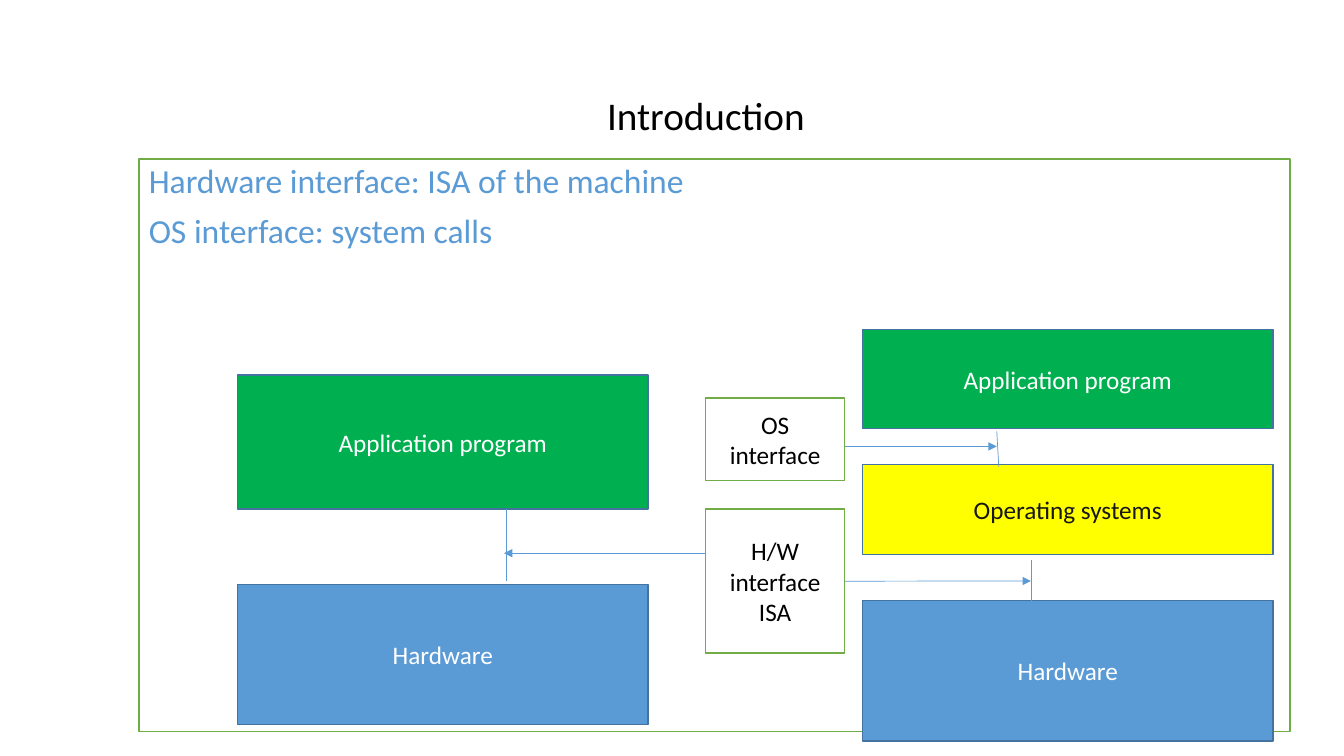
from dataclasses import dataclass
from typing import Optional

from lxml import etree
from pptx import Presentation
from pptx import util as u
from pptx.dml.color import RGBColor
from pptx.enum import shapes, text
from pptx.oxml.ns import qn

FONT = "Calibri"
HUES = {
    "white": "FFFFFF", "black": "000000", "ink": "181717",
    "blue": "5B9BD5", "navy": "43739E", "green": "00B050",
    "lime": "70AD47", "yellow": "FFFF00",
}
LEFT, MID, RIGHT = 5.99, 17.78, 21.74
WIDE, SLIM = 10.34, 3.51


@dataclass
class Box:
    words: str
    x: float
    y: float
    w: float
    h: float
    fill: str = "white"
    edge: str = "navy"
    ink: str = "white"


@dataclass
class Link:
    x1: float
    y1: float
    x2: float
    y2: float
    arrow: bool = False
    start: Optional[str] = None


PANEL = Box("Hardware interface: ISA of the machine\nOS interface: system calls",
            3.5, 4.01, 29.01, 14.43, "white", "lime", "blue")
BOXES = {
    "right hardware": Box("Hardware", RIGHT, 15.14, WIDE, 3.53, "blue"),
    "system": Box("Operating systems", RIGHT, 11.71, WIDE, 2.26, "yellow", ink="ink"),
    "right program": Box("Application program", RIGHT, 8.31, WIDE, 2.49, "green"),
    "left hardware": Box("Hardware", LEFT, 14.73, WIDE, 3.53, "blue"),
    "left program": Box("Application program", LEFT, 9.45, WIDE, 3.38, "green"),
    "OS face": Box("OS interface", MID, 10.03, SLIM, 2.08, "white", "lime", "black"),
    "ISA face": Box("H/W interface\nISA", MID, 12.83, SLIM, 3.63, "white", "lime", "black"),
}
LINKS = [
    Link(21.3, 11.25, 25.12, 11.25, True),
    Link(25.12, 10.87, 25.17, 11.76),
    Link(21.29, 14.64, 25.98, 14.64, True, "ISA face"),
    Link(25.98, 14.1, 25.98, 15.14),
    Link(17.78, 13.94, 12.7, 13.94, True),
    Link(12.75, 12.83, 12.75, 14.63),
]


def tint(name: str) -> RGBColor:
    return RGBColor.from_string(HUES[name])


def write(shape, words: str, size: float, ink: str, align, anchor,
          lead: float = 1.0, gap: float = 0) -> None:
    frame = shape.text_frame
    frame.word_wrap = True
    frame.vertical_anchor = anchor
    frame.text = words
    for para in frame.paragraphs:
        para.alignment = align
        para.line_spacing = lead
        para.space_before = u.Pt(gap)
        para.font.name = FONT
        para.font.size = u.Pt(size)
        para.font.color.rgb = tint(ink)


def draw_box(slide, box: Box):
    shape = slide.shapes.add_shape(
        shapes.MSO_SHAPE.RECTANGLE,
        u.Cm(box.x), u.Cm(box.y), u.Cm(box.w), u.Cm(box.h))
    shape.shadow.inherit = False
    shape.fill.solid()
    shape.fill.fore_color.rgb = tint(box.fill)
    shape.line.color.rgb = tint(box.edge)
    shape.line.width = u.Pt(1)
    return shape


def draw_link(slide, link: Link, drawn: dict) -> None:
    line = slide.shapes.add_connector(
        shapes.MSO_CONNECTOR.STRAIGHT,
        u.Cm(link.x1), u.Cm(link.y1), u.Cm(link.x2), u.Cm(link.y2))
    if link.start:
        line.begin_connect(drawn[link.start], 3)
    line.line.color.rgb = tint("blue")
    line.line.width = u.Pt(0.5)
    props = line._element.spPr
    if link.arrow:
        etree.SubElement(props.find(qn("a:ln")), qn("a:tailEnd"), type="triangle")
    etree.SubElement(props, qn("a:effectLst"))


def main() -> None:
    deck = Presentation()
    deck.slide_width, deck.slide_height = u.Cm(33.87), u.Cm(19.05)
    slide = deck.slides.add_slide(deck.slide_layouts[6])
    align, anchor = text.PP_ALIGN, text.MSO_ANCHOR

    title = slide.shapes.add_textbox(u.Cm(3.5), u.Cm(0), u.Cm(28.58), u.Cm(3.63))
    write(title, "Introduction", 28, "black", align.CENTER, anchor.BOTTOM, 0.9)

    panel = draw_box(slide, PANEL)
    write(panel, PANEL.words, 24, PANEL.ink, align.LEFT, anchor.TOP, 0.9, 10)

    drawn = {}
    for name, box in BOXES.items():
        drawn[name] = draw_box(slide, box)
        write(drawn[name], box.words, 18, box.ink, align.CENTER, anchor.MIDDLE)
    for link in LINKS:
        draw_link(slide, link, drawn)

    deck.save("out.pptx")


if __name__ == "__main__":
    main()
